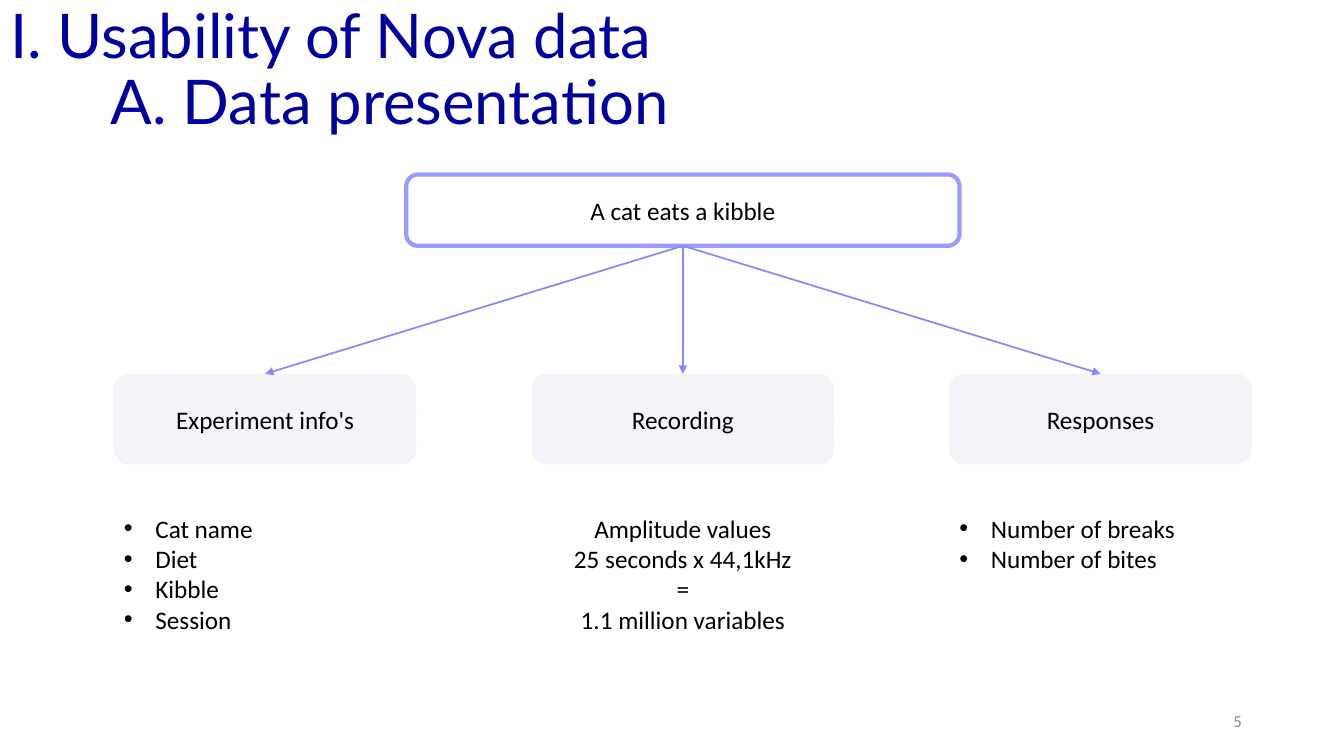
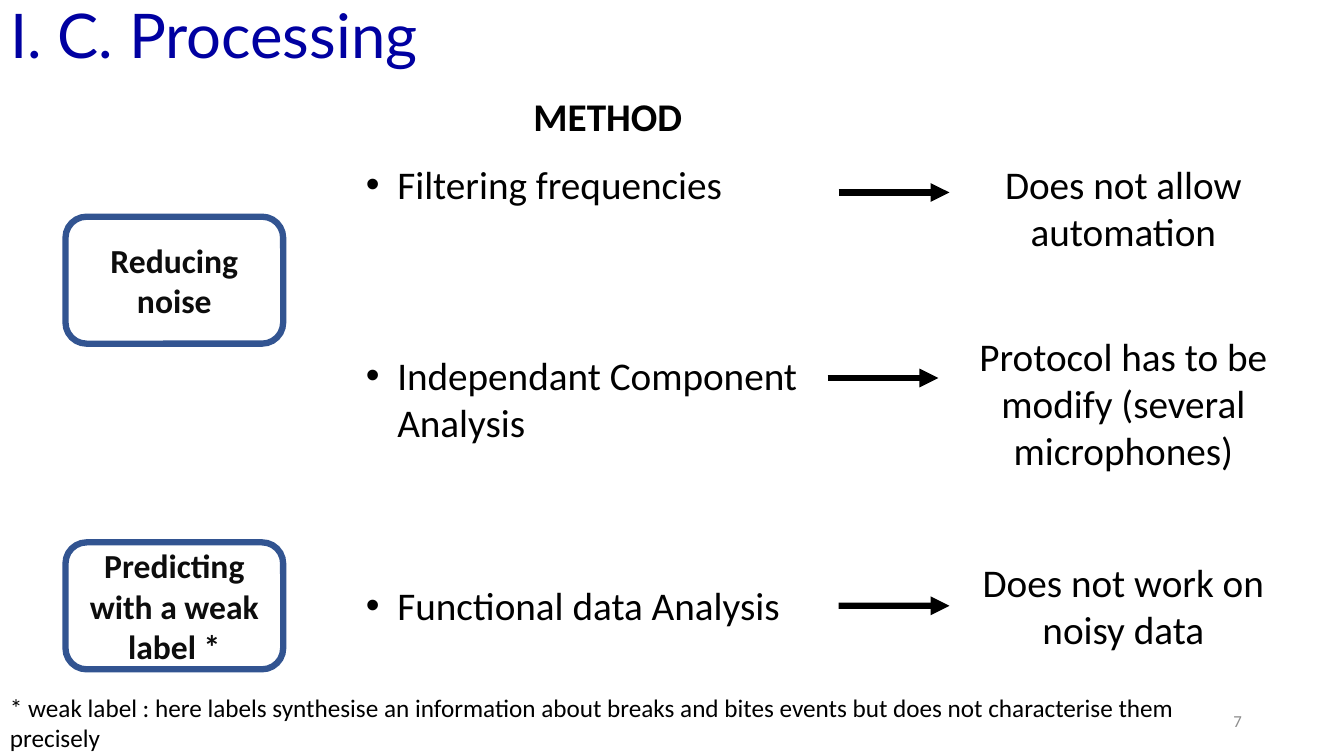
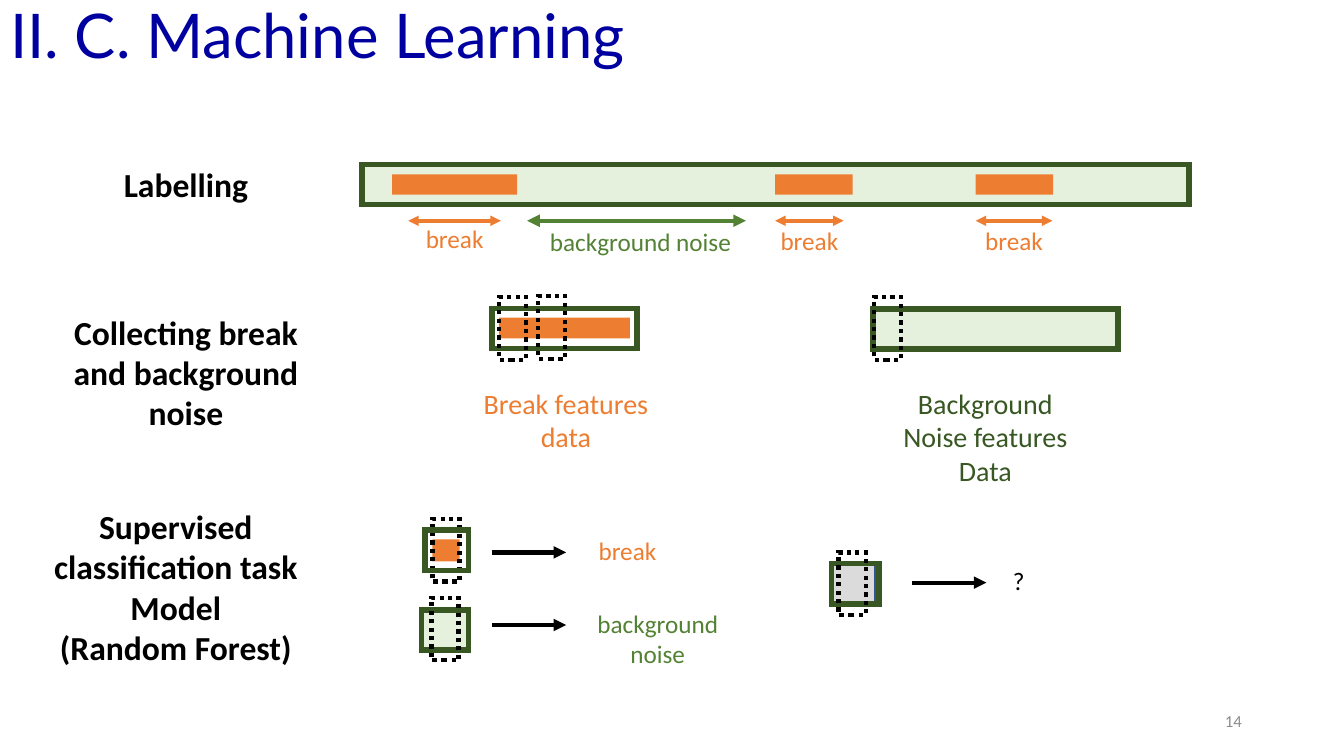
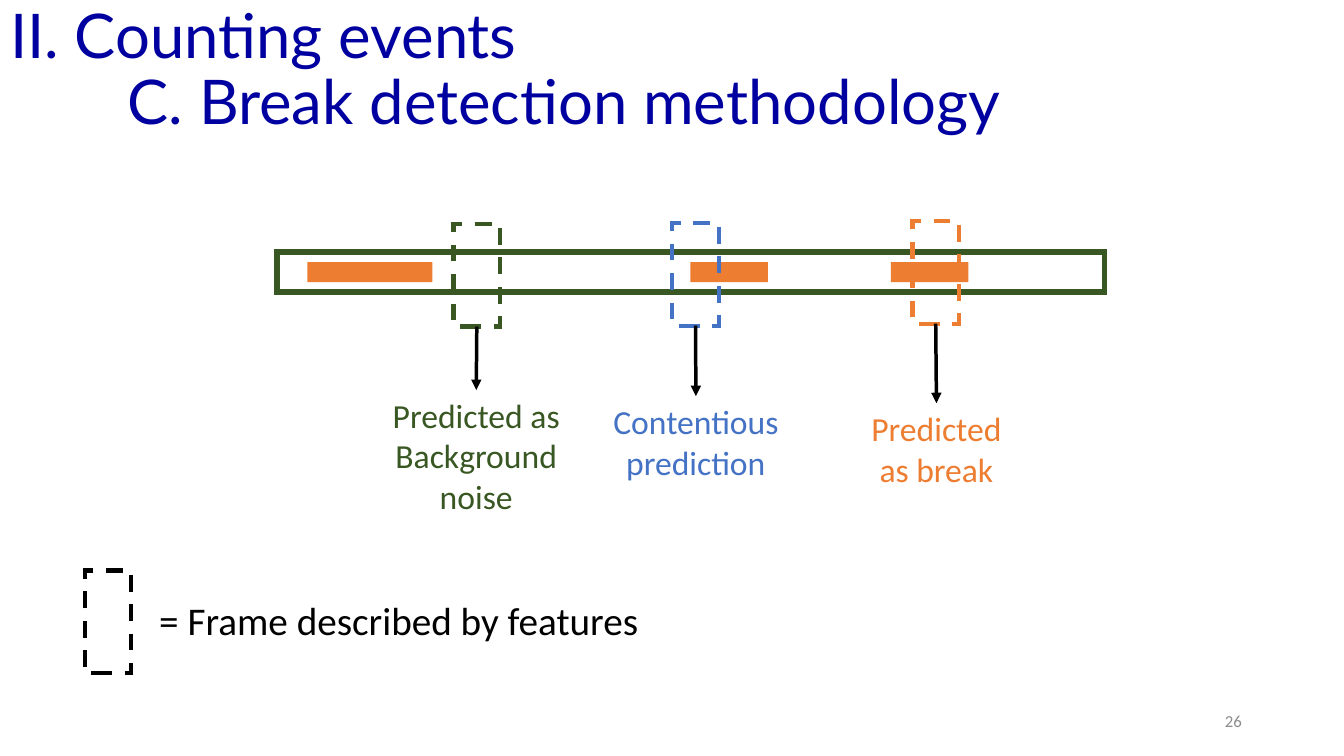
from lxml import etree
from pptx import Presentation
from pptx import util as u
from pptx.dml.color import RGBColor
from pptx.enum import dml, shapes, text
from pptx.oxml import ns

COLORS = {
    "title": "0000A1", "number": "8C8C8C", "black": "000000", "ink": "0D0D0D",
    "white": "FFFFFF", "lilac": "9B9BFF", "violet": "8989FF", "stripe": "E1E1FF",
    "pale": "F8F8F8", "navy": "325491", "orange": "ED7D31", "forest": "385723",
    "green": "548235", "mint": "A9D18E", "blue": "4472C4", "gray": "DBDBDB",
}
LEFT, CENTER, RIGHT = text.PP_ALIGN.LEFT, text.PP_ALIGN.CENTER, text.PP_ALIGN.RIGHT
TOP, MIDDLE = text.MSO_ANCHOR.TOP, text.MSO_ANCHOR.MIDDLE
RECTANGLE = shapes.MSO_SHAPE.RECTANGLE
ROUNDED = shapes.MSO_SHAPE.ROUNDED_RECTANGLE
DOTTED, DASHED = dml.MSO_LINE.ROUND_DOT, dml.MSO_LINE.DASH
BOTTOM_SITE, LEFT_SITE, TOP_SITE = 2, 1, 0
BULLET_INDENT = u.Pt(22.5)

# Sound track: size of the bar and (offset, width) of each break on it
TRACK_WIDTH, BAR_HEIGHT = 591, 28.8
BREAKS = [(21.6, 89.3), (295.2, 55.4), (438.4, 55.4)]


def color(name):
    return RGBColor.from_string(COLORS[name])


def add_xml(parent, tag, **attributes):
    return etree.SubElement(parent, ns.qn(tag), attributes)


def points(*lengths):
    return [u.Pt(length) for length in lengths]


# Text
def write(shape, lines, size, ink="black", align=CENTER, bold=False, bullet=False,
          anchor=TOP, font="Calibri", spacing=None, gap=0):
    frame = shape.text_frame
    frame.word_wrap = True
    frame.vertical_anchor = anchor
    for index, line in enumerate(lines):
        paragraph = frame.paragraphs[0] if index == 0 else frame.add_paragraph()
        paragraph.alignment = align
        if spacing:
            paragraph.line_spacing = spacing
        if gap and index:
            paragraph.space_before = u.Pt(gap)
        if bullet:
            properties = paragraph._p.get_or_add_pPr()
            properties.set("marL", str(BULLET_INDENT))
            properties.set("indent", str(-BULLET_INDENT))
            add_xml(properties, "a:buFont", typeface="Arial")
            add_xml(properties, "a:buChar", char="•")
        run = paragraph.add_run()
        run.text = line
        run.font.name = font
        run.font.size = u.Pt(size)
        run.font.bold = bold
        run.font.color.rgb = color(ink)


def add_text(slide, at, lines, size, **style):
    shape = slide.shapes.add_textbox(*points(*at))
    write(shape, lines, size, **style)
    return shape


# Shapes
def add_box(slide, at, kind=RECTANGLE, fill=None, alpha=None, line=None, width=1, dash=None):
    shape = slide.shapes.add_shape(kind, *points(*at))
    shape.shadow.inherit = False
    if fill:
        shape.fill.solid()
        shape.fill.fore_color.rgb = color(fill)
        if alpha:
            tint = shape.fill._xPr.find(ns.qn("a:solidFill"))[0]
            add_xml(tint, "a:alpha", val=str(alpha * 1000))
    else:
        shape.fill.background()
    if line:
        shape.line.color.rgb = color(line)
        shape.line.width = u.Pt(width)
        if dash:
            shape.line.dash_style = dash
        add_xml(shape.line._get_or_add_ln(), "a:miter", lim="800000")
    else:
        shape.line.fill.background()
    return shape


def add_striped_box(slide, at, label):
    shape = add_box(slide, at, ROUNDED)
    shape.fill.patterned()
    shape.fill.pattern = dml.MSO_PATTERN.LIGHT_DOWNWARD_DIAGONAL
    shape.fill.fore_color.rgb = color("stripe")
    shape.fill.back_color.rgb = color("pale")
    write(shape, [label], 18, anchor=MIDDLE)
    return shape


def add_arrow(slide, start, end, ink="black", width=3, double=False):
    """Each end is a point (x, y) or a joined side (shape, site)."""
    connector = slide.shapes.add_connector(shapes.MSO_CONNECTOR.STRAIGHT, 0, 0, 0, 0)
    if hasattr(start[0], "shape_id"):
        connector.begin_connect(*start)
    else:
        connector.begin_x, connector.begin_y = points(*start)
    if hasattr(end[0], "shape_id"):
        connector.end_connect(*end)
    else:
        connector.end_x, connector.end_y = points(*end)
    connector.line.color.rgb = color(ink)
    connector.line.width = u.Pt(width)
    line = connector.line._get_or_add_ln()
    if double:
        add_xml(line, "a:headEnd", type="triangle")
    add_xml(line, "a:tailEnd", type="triangle")
    add_xml(connector._element.spPr, "a:effectLst")


def add_outline(slide, at):
    add_box(slide, at, line="forest", width=4)


def add_tint(slide, at):
    add_box(slide, at, fill="mint", alpha=30, line="navy")


def add_window(slide, left, top):
    add_box(slide, (left, top, 19.4, 44.6), line="black", width=3, dash=DOTTED)


def add_frame(slide, left, top, ink):
    return add_box(slide, (left, top, 33.2, 73.5), line=ink, width=3, dash=DASHED)


def add_track(slide, left, top):
    add_outline(slide, (left, top, TRACK_WIDTH, BAR_HEIGHT))
    for offset, width in BREAKS:
        add_box(slide, (left + offset, top + 7.2, width, 14.4), fill="orange")


# Slide with title and number
def add_slide(presentation, title, number, width=960, indent=0):
    slide = presentation.slides.add_slide(presentation.slide_layouts[5])
    shape = slide.shapes.title
    shape.left, shape.top, shape.width, shape.height = points(0, 0, width, 104.4)
    shape.text_frame.auto_size = text.MSO_AUTO_SIZE.NONE
    write(shape, title, 44, ink="title", align=LEFT, font="Lato", spacing=0.9)
    for paragraph in shape.text_frame.paragraphs:
        paragraph.space_before = u.Pt(0)
    for paragraph in shape.text_frame.paragraphs[1:]:
        paragraph._p.get_or_add_pPr().set("marL", str(u.Pt(indent)))
    add_text(slide, (678.2, 500.4, 216, 28.8), [number], 12,
             ink="number", align=RIGHT, anchor=MIDDLE)
    return slide


def build_data(presentation):
    slide = add_slide(presentation, ["I. Usability of Nova data", "A. Data presentation"],
                      "5", width=828, indent=72)
    root = add_box(slide, (290.2, 124.6, 395.2, 51), ROUNDED, line="lilac", width=3)
    write(root, ["A cat eats a kibble"], 18, anchor=MIDDLE)
    branches = [
        ("Experiment info's", ["Cat name", "Diet", "Kibble", "Session"], True),
        ("Recording", ["Amplitude values", "25 seconds x 44,1kHz", "=",
                       "1.1 million variables"], False),
        ("Responses", ["Number of breaks", "Number of bites"], True),
    ]
    for index, (label, details, bullet) in enumerate(branches):
        left = 81.4 + 298.4 * index
        branch = add_striped_box(slide, (left, 267, 216, 64.8), label)
        add_text(slide, (left, 363, 216, 7.2 + 22 * len(details)), details, 18,
                 align=LEFT if bullet else CENTER, bullet=bullet)
        add_arrow(slide, (root, BOTTOM_SITE), (branch, TOP_SITE), "violet", 1.25)


def build_processing(presentation):
    slide = add_slide(presentation, ["I. C. Processing"], "7", width=914)
    for top, goal in [(154.8, "Reducing noise"), (387.4, "Predicting with a weak label *")]:
        shape = add_box(slide, (46.8, top, 155.5, 90.7), ROUNDED,
                        fill="white", line="navy", width=4.5)
        write(shape, [goal], 24, ink="ink", bold=True, anchor=MIDDLE)

    # Methods and their limits
    add_text(slide, (332.6, 62.6, 203, 41), ["METHOD"], 28, bold=True)
    add_text(slide, (254.2, 110.9, 376.6, 211),
             ["Filtering frequencies", "Independant Component Analysis"], 28,
             align=LEFT, bullet=True, anchor=MIDDLE, gap=102.5)
    add_text(slide, (254.2, 411.8, 360, 41), ["Functional data Analysis"], 28,
             align=LEFT, bullet=True, anchor=MIDDLE)
    limits = [
        (110.9, 74.9, "Does not allow automation"),
        (234, 108.7, "Protocol has to be modify (several microphones)"),
        (395.3, 74.9, "Does not work on noisy data"),
    ]
    boxes = [add_text(slide, (678.2, top, 248.4, height), [limit], 28)
             for top, height, limit in limits]
    add_arrow(slide, (599, 137.5), (678.2, 137.5), width=4.5)
    add_arrow(slide, (591.1, 270), (670.3, 270), width=4.5)
    add_arrow(slide, (599, 432.7), (boxes[2], LEFT_SITE), width=4.5)
    add_text(slide, (0, 491, 879, 51),
             ["* weak label : here labels synthesise an information about breaks and bites "
              "events but does not characterise them precisely"], 18, align=LEFT)


def build_learning(presentation):
    slide = add_slide(presentation, ["II. C. Machine Learning"], "14")
    headings = [
        ((36, 113.8, 193.7, 36), ["Labelling"]),
        ((36, 218.9, 193.7, 94.3), ["Collecting break and background noise"]),
        ((22.3, 357.8, 206.6, 123.8),
         ["Supervised classification task Model", "(Random Forest)"]),
    ]
    for at, lines in headings:
        add_text(slide, at, lines, 24, bold=True)

    # Labelled track
    add_tint(slide, (258.5, 117.4, TRACK_WIDTH, BAR_HEIGHT))
    add_track(slide, 258.5, 117.4)
    spans = [
        (291.6, 357.8, 279.4, 156.2), (553.7, 602.6, 532.8, 157.7), (697, 751.7, 679, 157.7),
    ]
    for start, end, left, top in spans:
        add_arrow(slide, (start, 157.7), (end, 157.7), "orange", 2.5, double=True)
        add_text(slide, (left, top, 90.7, 29), ["break"], 18, ink="orange")
    add_arrow(slide, (376.6, 157.7), (532.8, 157.7), "green", 3, double=True)
    add_text(slide, (370, 158.4, 175, 29), ["background noise"], 18, ink="green")

    # Collected samples
    add_box(slide, (356.4, 226.8, 93.6, 15), fill="orange")
    add_outline(slide, (351.4, 220.3, 103.7, BAR_HEIGHT))
    add_window(slide, 356.4, 212.4)
    add_window(slide, 384.5, 211.7)
    add_tint(slide, (623.5, 220.7, 175, BAR_HEIGHT))
    add_outline(slide, (623.5, 220.7, 175, BAR_HEIGHT))
    add_window(slide, 624.2, 212.4)
    add_text(slide, (334.8, 272.2, 139, 55.4), ["Break features data"], 20, ink="orange")
    add_text(slide, (634.3, 272.2, 139, 80), ["Background Noise features Data"], 20,
             ink="forest")

    # Classification: known break, known noise, unknown frame
    add_box(slide, (308.9, 385.2, 19.4, 15.8), fill="orange")
    add_window(slide, 308.9, 370.8)
    add_outline(slide, (303.8, 378.7, 31, BAR_HEIGHT))
    add_tint(slide, (301, 434.9, 33.8, BAR_HEIGHT))
    add_outline(slide, (301, 435.6, 33.8, BAR_HEIGHT))
    add_window(slide, 308.2, 427)
    add_box(slide, (594, 402.5, 31, 28), fill="gray", line="navy")
    add_outline(slide, (594, 402.5, 33.8, BAR_HEIGHT))
    add_window(slide, 599, 394.6)
    for left, top in [(351.4, 394.6), (351.4, 446.4), (651.6, 416.2)]:
        add_arrow(slide, (left, top), (left + 53, top))
    add_text(slide, (420.5, 378.7, 133.2, 30), ["break"], 18, ink="orange", align=LEFT)
    add_text(slide, (403.2, 430.6, 133.2, 51), ["background noise"], 18, ink="green")
    add_text(slide, (716.4, 400.3, 133.2, 30), ["?"], 18, align=LEFT)


def build_detection(presentation):
    slide = add_slide(presentation,
                      ["II. Counting events", "C. Break detection methodology"],
                      "26", indent=84)
    add_track(slide, 198, 180)
    predictions = [
        (324, 159.8, "forest", (272.9, 278.6, 134.6, 94.3), "Predicted as Background noise"),
        (480.2, 159.1, "blue", (429.8, 283, 134.6, 65.5), "Contentious prediction"),
        (651.8, 157.7, "orange", (608.4, 288, 121, 65.5), "Predicted as break"),
    ]
    for left, top, ink, at, label in predictions:
        frame = add_frame(slide, left, top, ink)
        caption = add_text(slide, at, [label], 24, ink=ink)
        add_arrow(slide, (frame, BOTTOM_SITE), (caption, TOP_SITE), width=2.5)

    # Legend
    add_frame(slide, 60.5, 407.5, "black")
    add_text(slide, (106.6, 422.6, 373, 41), ["= Frame described by features"], 28, align=LEFT)


def main():
    presentation = Presentation()
    presentation.slide_width, presentation.slide_height = points(960, 540)
    build_data(presentation)
    build_processing(presentation)
    build_learning(presentation)
    build_detection(presentation)
    presentation.save("out.pptx")


if __name__ == "__main__":
    main()
